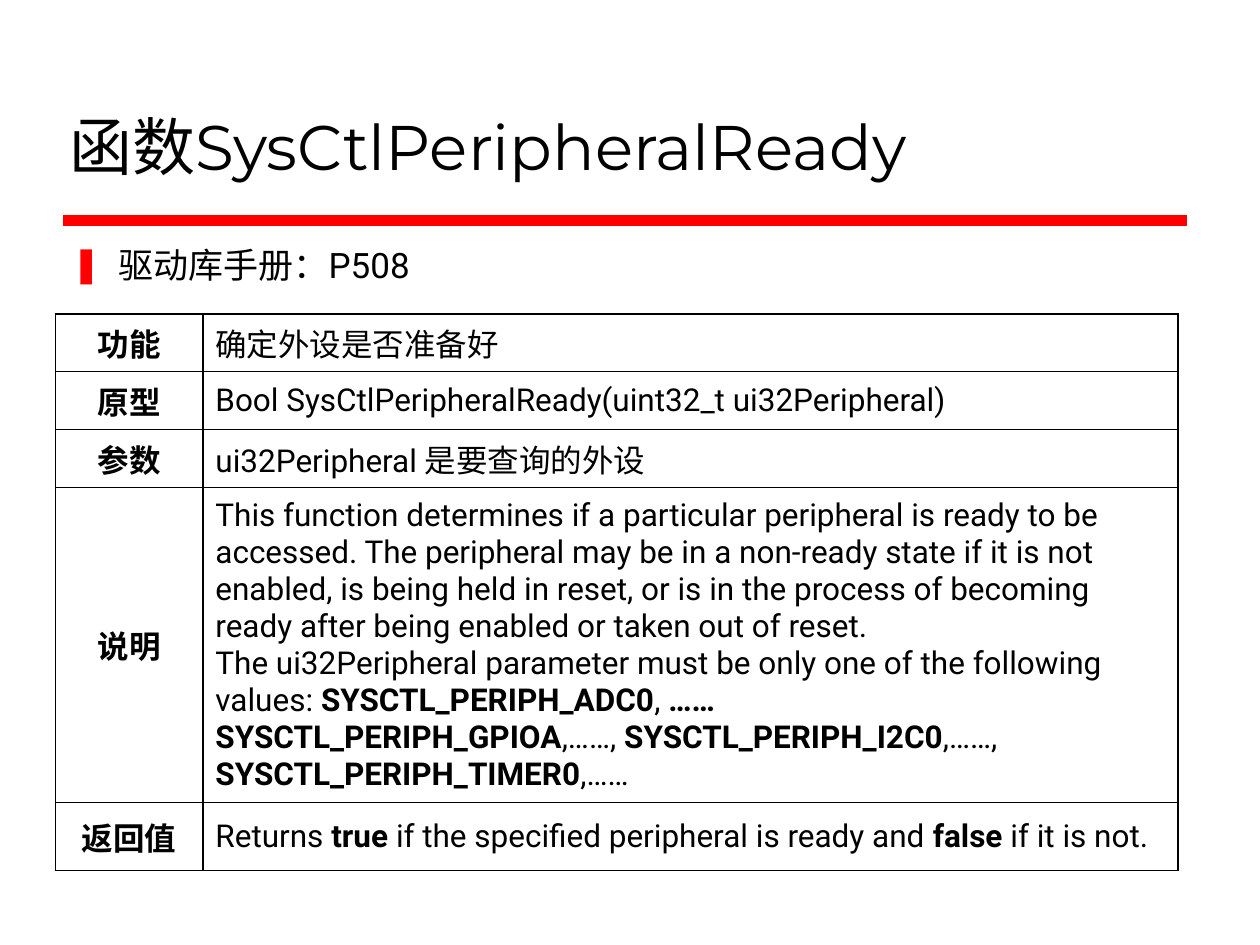
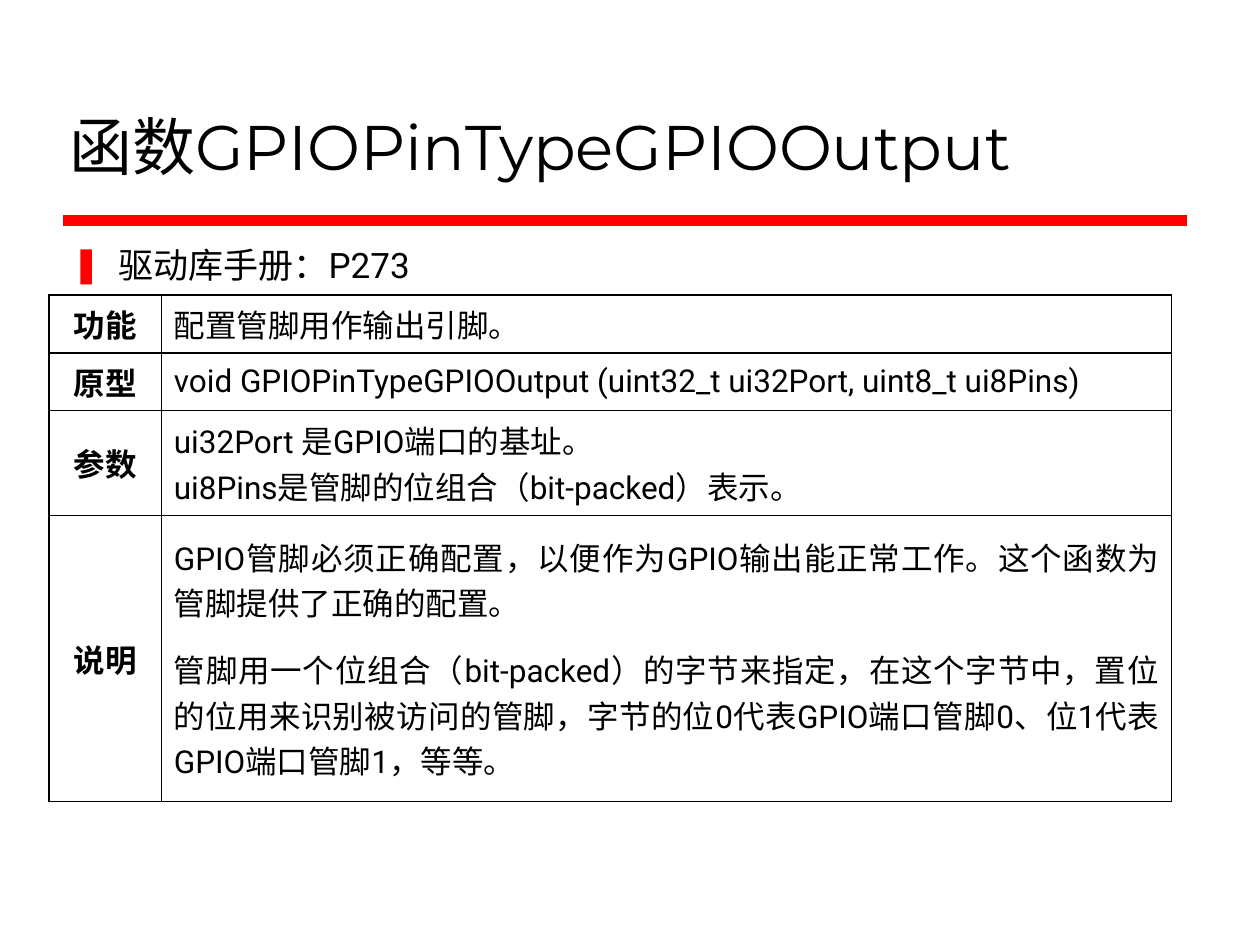
import pptx
import pptx.dml.color
import pptx.enum.shapes
import pptx.enum.text
import pptx.oxml
import pptx.oxml.ns
import pptx.util
from pptx.util import Inches

ALIGN = pptx.enum.text.PP_ALIGN
ANCHOR = pptx.enum.text.MSO_ANCHOR


def color(hex_string):
    return pptx.dml.color.RGBColor.from_string(hex_string)


def add_xml(parent, markup):
    namespace = pptx.oxml.ns.nsdecls("a")
    tag, rest = markup[1:].split(">", 1) if not markup.endswith("/>") else (markup[1:-2], None)
    ending = "/>" if rest is None else ">" + rest
    parent.append(pptx.oxml.parse_xml(f"<{tag} {namespace}{ending}"))


def write(para, text, *, size, font, ink, bold=False, align=ALIGN.LEFT):
    """Fill a paragraph; words between ** marks switch the bold setting."""
    para.alignment = align
    for index, part in enumerate(text.split("**")):
        if part:
            span = para.add_run()
            span.text = part
            span.font.size = pptx.util.Pt(size)
            span.font.name = font
            span.font.color.rgb = color(ink)
            span.font.bold = bold != (index % 2 == 1)


class FunctionDeck:
    INK = "000000"
    ACCENT = "FF0000"
    TITLE_FONT = "Montserrat"
    BODY_FONT = "Roboto"

    def __init__(self):
        self.deck = pptx.Presentation()
        self.deck.slide_width = Inches(10)
        self.deck.slide_height = Inches(7.5)
        self.page = None

    def add_page(self, title):
        self.page = self.deck.slides.add_slide(self.deck.slide_layouts[6])
        self.add_rule()
        para = self.add_box(0.45, 0.25, 8.97, 1.25, ANCHOR.BOTTOM)
        write(para, title, size=36, font=self.TITLE_FONT, ink=self.INK)

    def add_rule(self):
        rule = self.page.shapes.add_connector(
            pptx.enum.shapes.MSO_CONNECTOR.STRAIGHT,
            Inches(0.5), Inches(1.75), Inches(9.42), Inches(1.75))
        rule.line.color.rgb = color(self.ACCENT)
        rule.line.width = pptx.util.Pt(6)
        add_xml(rule._element.spPr, "<a:effectLst/>")

    def add_box(self, left, top, width, height, anchor=ANCHOR.TOP):
        """Add a text box and return its first paragraph."""
        box = self.page.shapes.add_textbox(
            Inches(left), Inches(top), Inches(width), Inches(height))
        box.text_frame.word_wrap = True
        box.text_frame.vertical_anchor = anchor
        return box.text_frame.paragraphs[0]

    def add_bullet(self, text, width):
        para = self.add_box(0.47, 1.88, width, 0.46)
        properties = para._p.get_or_add_pPr()
        properties.set("marL", str(Inches(0.37)))
        properties.set("indent", str(-Inches(0.37)))
        add_xml(properties, f'<a:buClr><a:srgbClr val="{self.ACCENT}"/></a:buClr>')
        add_xml(properties, f'<a:buFont typeface="{self.BODY_FONT}"/>')
        add_xml(properties, '<a:buChar char="❚"/>')
        write(para, text, size=20, font=self.BODY_FONT, ink=self.INK)

    def add_reference_table(self, left, top, columns, heights, entries, justified=()):
        """Add a label/description table; labels in justified get spaced, justified text."""
        table = self.page.shapes.add_table(
            len(entries), 2, Inches(left), Inches(top),
            Inches(sum(columns)), Inches(sum(heights))).table
        table.first_row = table.horz_banding = False
        for column, width in zip(table.columns, columns):
            column.width = Inches(width)
        for row, height, (label, lines) in zip(table.rows, heights, entries):
            row.height = Inches(height)
            label_cell, text_cell = row.cells
            self.fill_cell(label_cell, [label], bold=True, align=ALIGN.CENTER)
            if label in justified:
                self.fill_cell(text_cell, lines, gap=6, align=ALIGN.JUSTIFY)
            else:
                self.fill_cell(text_cell, lines)

    def fill_cell(self, cell, lines, gap=0, **style):
        cell.vertical_anchor = ANCHOR.MIDDLE
        for side in "LRTB":
            add_xml(cell._tc.get_or_add_tcPr(),
                    f'<a:ln{side} w="12700"><a:solidFill><a:srgbClr val="{self.INK}"/>'
                    f'</a:solidFill></a:ln{side}>')
        cell.fill.background()
        frame = cell.text_frame
        for index, line in enumerate(lines):
            para = frame.add_paragraph() if index else frame.paragraphs[0]
            if gap:
                para.space_after = pptx.util.Pt(gap)
                if index:
                    para.space_before = pptx.util.Pt(gap)
            write(para, line, size=18, font=self.BODY_FONT, ink=self.INK, **style)


def main():
    manual = FunctionDeck()

    manual.add_page("函数SysCtlPeripheralReady")
    manual.add_bullet("驱动库手册：P508", 9.53)
    manual.add_reference_table(0.44, 2.49, [1.17, 7.74], [0.46, 0.46, 0.46, 2.45, 0.54], [
        ("功能", ["确定外设是否准备好"]),
        ("原型", ["Bool SysCtlPeripheralReady(uint32_t ui32Peripheral)"]),
        ("参数", ["ui32Peripheral 是要查询的外设"]),
        ("说明", [
            "This function determines if a particular peripheral is ready to be accessed. "
            "The peripheral may be in a non-ready state if it is not enabled, is being held "
            "in reset, or is in the process of becoming ready after being enabled or taken "
            "out of reset.",
            "The ui32Peripheral parameter must be only one of the following",
            "values: **SYSCTL_PERIPH_ADC0**,** ……**",
            "**SYSCTL_PERIPH_GPIOA**,……, **SYSCTL_PERIPH_I2C0**,……,"
            "** SYSCTL_PERIPH_TIMER0**,……",
        ]),
        ("返回值", ["Returns **true **if the specified peripheral is ready and "
                 "**false **if it is not."]),
    ])

    manual.add_page("函数GPIOPinTypeGPIOOutput")
    manual.add_bullet("驱动库手册：P273", 8.94)
    manual.add_reference_table(0.39, 2.34, [0.89, 8.02], [0.46, 0.46, 0.83, 2.27], [
        ("功能", ["配置管脚用作输出引脚。"]),
        ("原型", ["void GPIOPinTypeGPIOOutput (uint32_t ui32Port, uint8_t ui8Pins)"]),
        ("参数", ["ui32Port 是GPIO端口的基址。",
                "ui8Pins是管脚的位组合（bit-packed）表示。"]),
        ("说明", [
            "GPIO管脚必须正确配置，以便作为GPIO输出能正常工作。这个函数为管脚提供了正确的配置。",
            "管脚用一个位组合（bit-packed）的字节来指定，在这个字节中，置位的位用来识别被访问的管脚，"
            "字节的位0代表GPIO端口管脚0、位1代表GPIO端口管脚1，等等。",
        ]),
    ], justified=("说明",))

    manual.deck.save("out.pptx")


if __name__ == "__main__":
    main()
